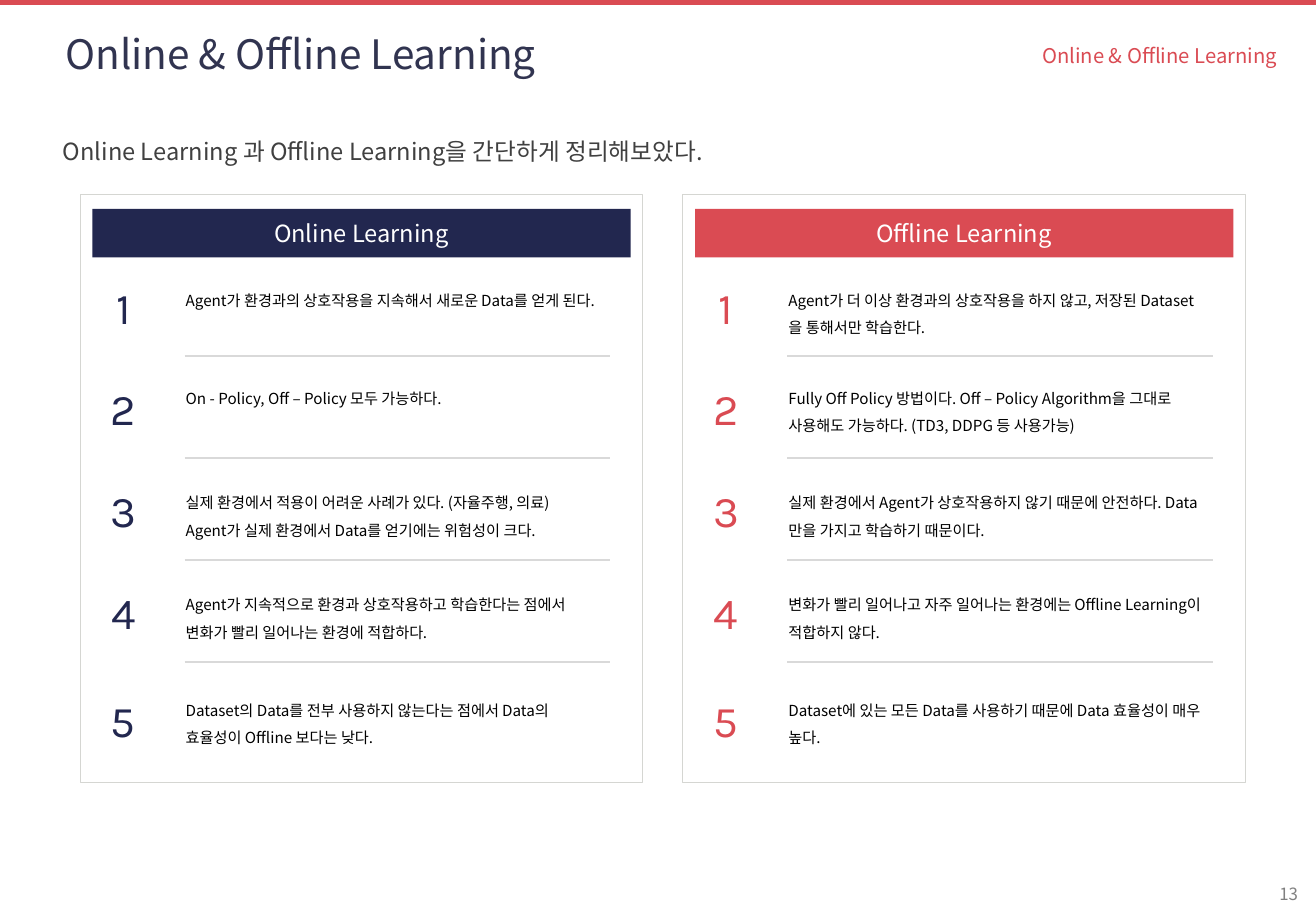
from lxml.etree import SubElement
from pptx import Presentation
from pptx.dml.color import RGBColor
from pptx.enum.shapes import MSO_CONNECTOR, MSO_SHAPE
from pptx.enum.text import MSO_ANCHOR, PP_ALIGN
from pptx.oxml.ns import qn
from pptx.util import Inches, Pt

WIDTH, HEIGHT = 10.83, 7.5
NAVY, RED = "22274F", "DA4B53"
SANS, NUMERAL = "Noto Sans CJK KR", "Karla"
CARD_TOP, CARD_W, CARD_H = 1.6, 4.63, 4.84
ROW_PITCH, FIRST_RULE = 0.84, 1.33
NUMBER_TOPS = (0.71, 1.54, 2.38, 3.22, 4.11)
POINT_TOPS = (0.67, 1.48, 2.34, 3.18, 4.05)

ONLINE = (
    ["Agent가 환경과의 상호작용을 지속해서 새로운 Data를 얻게 된다."],
    ["On - Policy, Off – Policy 모두 가능하다."],
    ["실제 환경에서 적용이 어려운 사례가 있다. (자율주행, 의료)",
     "Agent가 실제 환경에서 Data를 얻기에는 위험성이 크다."],
    ["Agent가 지속적으로 환경과 상호작용하고 학습한다는 점에서 변화가 빨리 일어나는 환경에 적합하다."],
    ["Dataset의 Data를 전부 사용하지 않는다는 점에서 Data의 효율성이 Offline 보다는 낮다."],
)
OFFLINE = (
    ["Agent가 더 이상 환경과의 상호작용을 하지 않고, 저장된 Dataset을 통해서만 학습한다."],
    ["Fully Off Policy 방법이다. Off – Policy Algorithm을 그대로 사용해도 가능하다. "
     "(TD3, DDPG 등 사용가능)"],
    ["실제 환경에서 Agent가 상호작용하지 않기 때문에 안전하다. Data만을 가지고 학습하기 때문이다."],
    ["변화가 빨리 일어나고 자주 일어나는 환경에는 Offline Learning이 적합하지 않다."],
    ["Dataset에 있는 모든 Data를 사용하기 때문에 Data 효율성이 매우 높다."],
)


def rgb(value):
    return RGBColor.from_string(value)


def write(shape, lines, size, color, font=SANS, align=PP_ALIGN.LEFT,
          anchor=MSO_ANCHOR.MIDDLE, spacing=None):
    frame = shape.text_frame
    frame.word_wrap = True
    frame.vertical_anchor = anchor
    frame.text = "\n".join(lines)
    for paragraph in frame.paragraphs:
        paragraph.alignment = align
        paragraph.line_spacing = spacing
        for run in paragraph.runs:
            run.font.size = Pt(size)
            run.font.name = font
            run.font.color.rgb = rgb(color)
            # Korean glyphs take their typeface from a:ea
            SubElement(run.font._element, qn("a:ea")).set("typeface", font)


def add_text(slide, box, lines, size, color, **style):
    shape = slide.shapes.add_textbox(*map(Inches, box))
    write(shape, lines, size, color, **style)
    return shape


def add_panel(slide, box, fill, line=None):
    panel = slide.shapes.add_shape(MSO_SHAPE.RECTANGLE, *map(Inches, box))
    panel.shadow.inherit = False
    panel.fill.solid()
    panel.fill.fore_color.rgb = rgb(fill)
    if line:
        panel.line.color.rgb = rgb(line)
        panel.line.width = Pt(0.75)
    else:
        panel.line.fill.background()
    return panel


def add_rule(slide, left, top, width):
    rule = slide.shapes.add_connector(
        MSO_CONNECTOR.STRAIGHT, *map(Inches, (left, top, left + width, top)))
    rule.line.color.rgb = rgb("D9D9D9")
    rule.line.width = Pt(1)
    SubElement(rule._element.spPr, qn("a:effectLst"))


def add_number(slide, left, top, number, color):
    numeral = add_text(slide, (left, top, 0.39, 0.46), [str(number)], 26, color,
                       font=NUMERAL, align=PP_ALIGN.CENTER, anchor=MSO_ANCHOR.TOP)
    frame = numeral.text_frame
    frame.margin_left = frame.margin_right = frame.margin_top = frame.margin_bottom = 0


def add_card(slide, left, top, heading, color, points):
    """Draw a bordered card with a heading band and numbered, ruled points."""
    add_panel(slide, (left, top, CARD_W, CARD_H), "FFFFFF", "D5D6D2")
    band = add_panel(slide, (left + 0.1, top + 0.12, CARD_W - 0.2, 0.4), color)
    write(band, [heading], 14, "FFFFFF", align=PP_ALIGN.CENTER)
    rows = zip(points, NUMBER_TOPS, POINT_TOPS)
    for row, (lines, number_top, point_top) in enumerate(rows):
        add_number(slide, left + 0.16, top + number_top, row + 1, color)
        add_text(slide, (left + 0.77, top + point_top, 3.64, 0.53), lines, 9,
                 "000000", anchor=MSO_ANCHOR.TOP, spacing=1.5)
        if row < len(points) - 1:
            add_rule(slide, left + 0.86, top + FIRST_RULE + row * ROW_PITCH, 3.5)


def add_header(slide):
    add_panel(slide, (0, -0.01, WIDTH, 0.05), RED)
    add_text(slide, (0.44, 0.2, 7.26, 0.48), ["Online & Offline Learning"], 24, "313450")
    add_text(slide, (7.76, 0.2, 2.85, 0.48), ["Online & Offline Learning"], 12, RED,
             align=PP_ALIGN.RIGHT, spacing=1.2)
    add_text(slide, (0.42, 1.08, 8.46, 0.33),
             ["Online Learning 과 Offline Learning을 간단하게 정리해보았다."], 14, "404040")


def main():
    deck = Presentation()
    deck.slide_width, deck.slide_height = Inches(WIDTH), Inches(HEIGHT)
    slide = deck.slides.add_slide(deck.slide_layouts[6])
    add_header(slide)
    add_card(slide, 0.66, CARD_TOP, "Online Learning", NAVY, ONLINE)
    add_card(slide, 5.62, CARD_TOP, "Offline Learning", RED, OFFLINE)
    add_text(slide, (8.45, 7.24, 2.33, 0.24), ["13"], 10, "808080", align=PP_ALIGN.RIGHT)
    deck.save("out.pptx")


if __name__ == "__main__":
    main()
